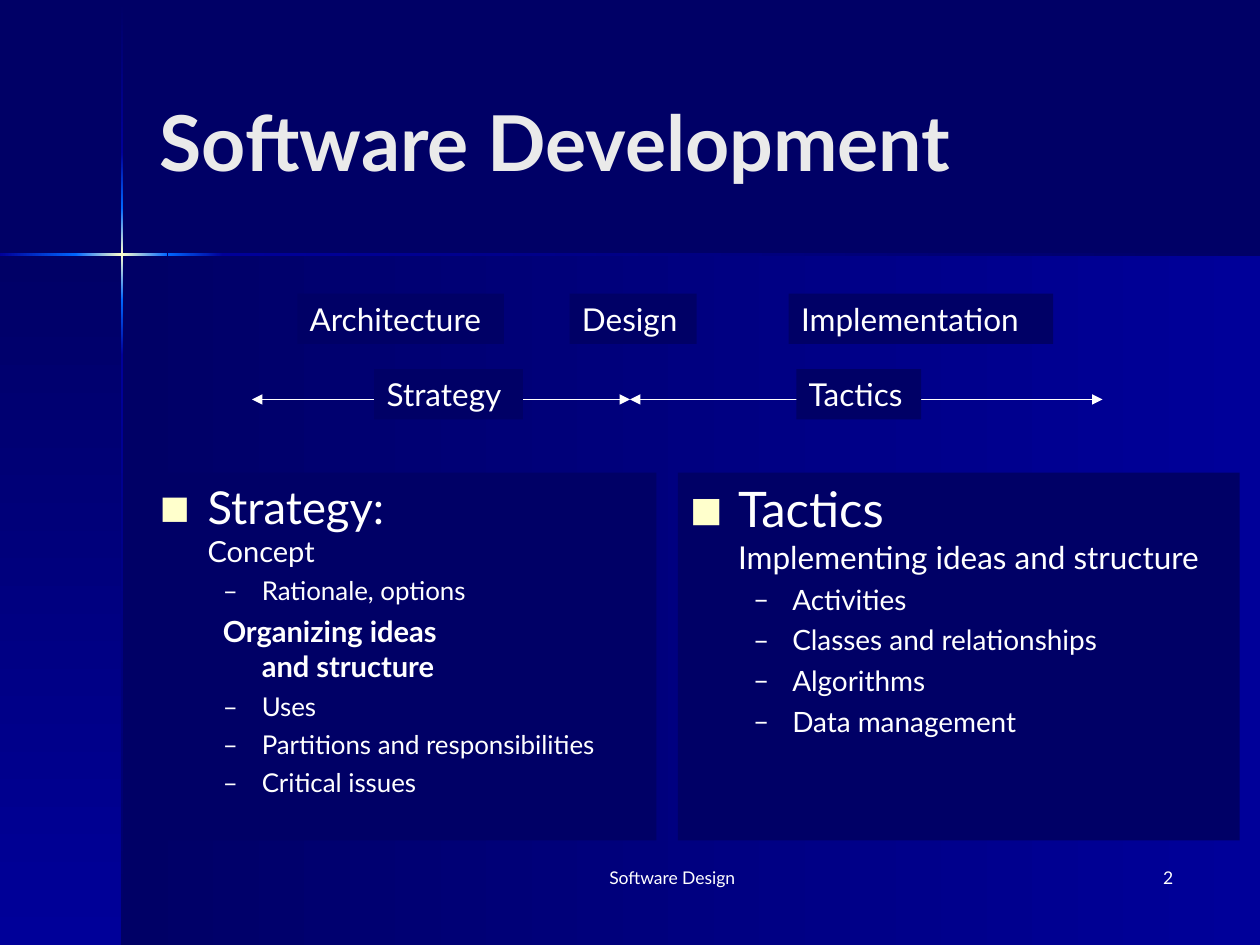
from copy import deepcopy
from dataclasses import dataclass

from lxml import etree
from pptx import Presentation
from pptx.dml.color import RGBColor
from pptx.enum.shapes import MSO_CONNECTOR, MSO_SHAPE
from pptx.enum.text import MSO_ANCHOR, PP_ALIGN
from pptx.oxml.ns import qn
from pptx.util import Inches, Pt

RECTANGLE = MSO_SHAPE.RECTANGLE
STRAIGHT = MSO_CONNECTOR.STRAIGHT
LEFT, CENTER, RIGHT = PP_ALIGN.LEFT, PP_ALIGN.CENTER, PP_ALIGN.RIGHT
TOP, MIDDLE = MSO_ANCHOR.TOP, MSO_ANCHOR.MIDDLE

FONT = "Lato"
NAVY, BLUE, BRIGHT, CREAM = "000066", "000099", "0066FF", "FFFFCC"
WHITE, PALE = "FFFFFF", "EAEAEA"


@dataclass
class Band:
    left: float
    top: float
    width: float
    height: float
    colors: tuple[str, ...]
    vertical: bool = False


@dataclass
class Label:
    text: str
    left: float
    top: float
    width: float
    height: float = 0.4
    size: float = 18
    color: str = WHITE
    bold: bool = False
    align: PP_ALIGN = LEFT
    anchor: MSO_ANCHOR = TOP
    fill: str | None = NAVY


@dataclass
class Bullet:
    char: str
    color: str
    percent: int = 100


@dataclass
class Item:
    text: str
    sizes: tuple[float, ...]
    margin: float = 0.81
    indent: float = -0.31
    before: float = 4
    bullet: Bullet | None = None
    bold: bool = False


SQUARE = Bullet("■", CREAM, 70)
DASH = Bullet("–", WHITE)

BANDS = [
    Band(0.97, 2.02, 9.03, 5.48, (NAVY, BLUE)),
    Band(0, 2.02, 0.97, 5.48, (NAVY, BLUE), True),
    Band(0.96, 0.01, 0.02, 1.2, (NAVY, BLUE), True),
    Band(0.96, 2.82, 0.02, 4.68, (BLUE, NAVY), True),
    Band(1.77, 2.01, 8.23, 0.02, (BLUE, NAVY)),
    Band(0.96, 2.38, 0.02, 0.44, (BRIGHT, BLUE), True),
    Band(0.96, 1.21, 0.02, 0.44, (BLUE, BRIGHT), True),
    Band(0.96, 1.65, 0.02, 0.73, (BRIGHT, CREAM, BRIGHT), True),
    Band(0, 2.01, 0.61, 0.02, (BLUE, BRIGHT)),
    Band(1.33, 2.01, 0.44, 0.02, (BRIGHT, BLUE)),
    Band(0.6, 2.01, 0.73, 0.02, (BRIGHT, CREAM, BRIGHT)),
]
HEADINGS = [
    Label("Software Design", 3.75, 6.83, 3.17, 0.5, 10, align=CENTER, fill=None),
    Label("2", 7.33, 6.83, 2.08, 0.5, 10, align=RIGHT, fill=None),
    Label("Software Development", 1.17, 0.33, 8.25, 1.57, 44, PALE, True,
          anchor=MIDDLE, fill=None),
]
SPAN_EDGES = (2, 5, 8.75)
SPAN_Y = 3.17
SPAN_LABELS = [
    Label("Strategy", 2.97, 2.93, 1.18),
    Label("Tactics", 6.32, 2.93, 0.99),
    Label("Architecture", 2.36, 2.33, 1.64),
    Label("Design", 4.52, 2.33, 1.01),
    Label("Implementation", 6.26, 2.33, 2.1),
]


def topic(text: str, *sizes: float) -> Item:
    return Item(text, sizes, 0.38, -0.38, 4.5, SQUARE)


def points(size: float, *texts: str) -> list[Item]:
    return [Item(text, (size,), bullet=DASH) for text in texts]


STRATEGY = [
    topic("Strategy:\vConcept", 25.9, 16.6),
    *points(14.8, "Rationale, options"),
    Item("Organizing ideas\vand structure", (16.6, 16.6), before=4.5, bold=True),
    *points(14.8, "Uses", "Partitions and responsibilities", "Critical issues"),
]
TACTICS = [
    topic("Tactics\vImplementing ideas and structure", 28, 18),
    *points(16, "Activities", "Classes and relationships", "Algorithms",
            "Data management"),
]


def rgb(color: str) -> RGBColor:
    return RGBColor.from_string(color)


def draw_band(slide, band: Band) -> None:
    shape = slide.shapes.add_shape(RECTANGLE, Inches(band.left), Inches(band.top),
                                   Inches(band.width), Inches(band.height))
    shape.shadow.inherit = False
    shape.line.fill.background()
    shape.fill.gradient()
    shape.fill.gradient_angle = 270 if band.vertical else 0
    stop_list = shape.fill._xPr.find(".//" + qn("a:gsLst"))
    for _ in band.colors[2:]:
        stop_list.append(deepcopy(stop_list[-1]))
    for index, (stop, color) in enumerate(zip(shape.fill.gradient_stops, band.colors)):
        stop.position = index / (len(band.colors) - 1)
        stop.color.rgb = rgb(color)


def format_run(run, size: float, color: str, bold: bool) -> None:
    run.font.name = FONT
    run.font.size = Pt(size)
    run.font.bold = bold
    run.font.color.rgb = rgb(color)


def add_box(slide, left: float, top: float, width: float, height: float,
            fill: str | None):
    box = slide.shapes.add_textbox(Inches(left), Inches(top),
                                   Inches(width), Inches(height))
    box.text_frame.word_wrap = True
    if fill:
        box.fill.solid()
        box.fill.fore_color.rgb = rgb(fill)
    return box.text_frame


def draw_label(slide, label: Label) -> None:
    frame = add_box(slide, label.left, label.top, label.width, label.height, label.fill)
    frame.vertical_anchor = label.anchor
    frame.text = label.text
    paragraph = frame.paragraphs[0]
    paragraph.alignment = label.align
    format_run(paragraph.runs[0], label.size, label.color, label.bold)


def add_bullet(properties, bullet: Bullet) -> None:
    color = etree.SubElement(properties, qn("a:buClr"))
    etree.SubElement(color, qn("a:srgbClr"), val=bullet.color)
    etree.SubElement(properties, qn("a:buSzPct"), val=str(bullet.percent * 1000))
    etree.SubElement(properties, qn("a:buFont"), typeface=FONT)
    etree.SubElement(properties, qn("a:buChar"), char=bullet.char)


def draw_outline(slide, left: float, width: float, items: list[Item]) -> None:
    frame = add_box(slide, left, 3.75, width, 2.92, NAVY)
    for index, item in enumerate(items):
        paragraph = frame.add_paragraph() if index else frame.paragraphs[0]
        paragraph.text = item.text
        paragraph.space_before = Pt(item.before)
        properties = paragraph._p.get_or_add_pPr()
        properties.set("marL", str(Inches(item.margin)))
        properties.set("indent", str(Inches(item.indent)))
        if item.bullet:
            add_bullet(properties, item.bullet)
            properties.set("lvl", "0" if item.bullet is SQUARE else "1")
        else:
            properties.set("lvl", "1")
        for run, size in zip(paragraph.runs, item.sizes):
            format_run(run, size, WHITE, item.bold)
        for line_break in paragraph._p.findall(qn("a:br")):
            line_break.append(deepcopy(paragraph.runs[0].font._rPr))


def draw_span(slide, start: float, end: float) -> None:
    """Draw a horizontal line with an arrowhead at both ends."""
    span = slide.shapes.add_connector(STRAIGHT, Inches(start), Inches(SPAN_Y),
                                      Inches(end), Inches(SPAN_Y))
    span.line.color.rgb = rgb(WHITE)
    span.line.width = Pt(0.75)
    for tag in ("a:headEnd", "a:tailEnd"):
        etree.SubElement(span.line._get_or_add_ln(), qn(tag), type="triangle")
    etree.SubElement(span._element.spPr, qn("a:effectLst"))


def main() -> None:
    presentation = Presentation()
    presentation.slide_width, presentation.slide_height = Inches(10), Inches(7.5)
    slide = presentation.slides.add_slide(presentation.slide_layouts[6])
    slide.background.fill.solid()
    slide.background.fill.fore_color.rgb = rgb(NAVY)
    for band in BANDS:
        draw_band(slide, band)
    draw_outline(slide, 1.17, 4.04, STRATEGY)
    draw_outline(slide, 5.38, 4.46, TACTICS)
    for start, end in zip(SPAN_EDGES, SPAN_EDGES[1:]):
        draw_span(slide, start, end)
    for label in HEADINGS + SPAN_LABELS:
        draw_label(slide, label)
    presentation.save("out.pptx")


if __name__ == "__main__":
    main()
